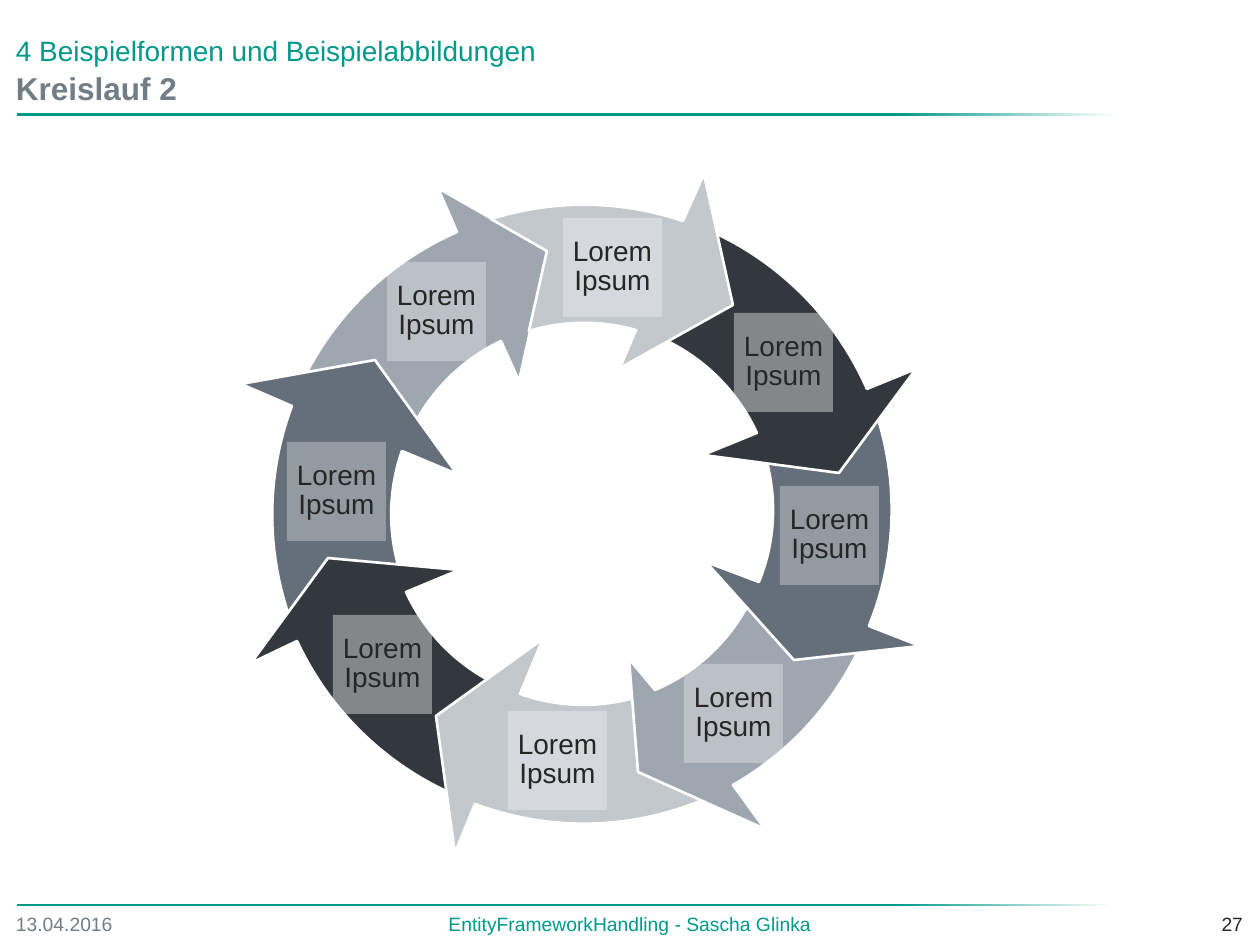
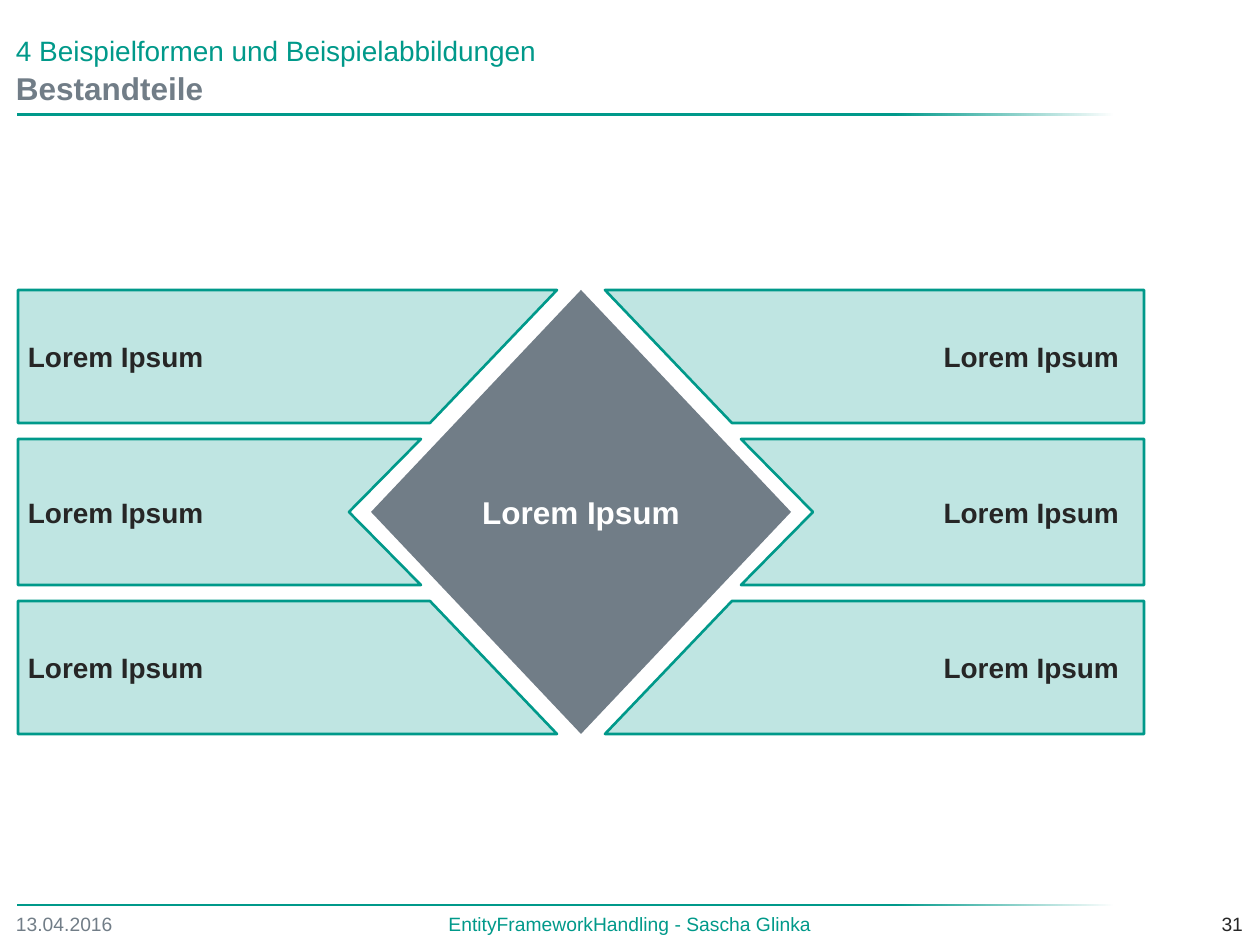
import dataclasses
import math

import lxml.etree
import pptx
import pptx.dml.color
import pptx.enum.shapes
import pptx.enum.text
import pptx.oxml.ns
import pptx.util

ALIGN = pptx.enum.text.PP_ALIGN
ANCHOR = pptx.enum.text.MSO_ANCHOR
SHAPE = pptx.enum.shapes.MSO_SHAPE
EMU_PER_PX = 914400 / 126


@dataclasses.dataclass(frozen=True)
class Theme:
    font: str = "Arial"
    teal: str = "00998A"
    pale_teal: str = "BFE5E2"
    slate: str = "717D87"
    ink: str = "262626"
    white: str = "FFFFFF"
    ring_light: str = "C3C8CD"
    ring_medium: str = "9EA7AF"
    ring_dark: str = "656F79"
    ring_black: str = "32383D"
    footer_size: int = 11
    text_size: int = 16
    heading_size: int = 18
    line_width: float = 1.5


THEME = Theme()
CHAPTER = "4 Beispielformen und Beispielabbildungen"
FOOTER = "EntityFrameworkHandling - Sascha Glinka"
DATE = "13.04.2016"
SAMPLE = "Lorem Ipsum"

RING_CENTER = (583, 514)
ARC_STEPS = 24
# Fill, then corners: outer tail, outer neck, outer barb, tip,
# inner barb, inner neck, inner tail, and a notch if the tail has one.
RING_ARROWS = [
    (THEME.ring_medium, [(302, 382), (457, 232), (438, 188), (548, 251),
                         (519, 381), (501, 341), (410, 433)]),
    (THEME.ring_dark, [(296, 634), (292, 406), (241, 384), (375, 360),
                       (457, 474), (402, 451), (399, 568)]),
    (THEME.ring_black, [(446, 791), (297, 641), (251, 663), (328, 558),
                        (459, 570), (406, 592), (496, 684)]),
    (THEME.ring_light, [(703, 800), (475, 804), (455, 853), (436, 716),
                        (543, 639), (520, 694), (638, 697)]),
    (THEME.ring_medium, [(859, 649), (733, 785), (765, 829), (638, 772),
                         (629, 659), (655, 690), (752, 597)]),
    (THEME.ring_dark, [(868, 391), (869, 626), (920, 646), (794, 660),
                       (706, 562), (759, 582), (765, 455)]),
    (THEME.ring_black, [(717, 234), (867, 389), (916, 369), (839, 473),
                        (703, 455), (757, 433), (667, 341)]),
    (THEME.ring_light, [(491, 219), (683, 221), (704, 174), (733, 305),
                        (620, 368), (636, 330), (529, 331), (547, 251)]),
]
LABEL_SIDE = 99
# Left, top and opacity in percent
RING_LABELS = [
    (563, 218, 30), (734, 313, 40), (780, 486, 30), (684, 664, 30),
    (508, 711, 30), (387, 262, 30), (333, 615, 40), (287, 442, 30),
]

PANEL_MIRROR = (1162, 1024)  # twice the centre of the diamond
TOP_PANEL = [(18, 290), (557, 290), (430, 423), (18, 423)]
MIDDLE_PANEL = [(18, 439), (421, 439), (349, 512), (421, 585), (18, 585)]


def px(length):
    return pptx.util.Emu(round(length * EMU_PER_PX))


def rgb(color):
    return pptx.dml.color.RGBColor.from_string(color)


def paint(shape, fill, line=None):
    shape.shadow.inherit = False
    shape.fill.solid()
    shape.fill.fore_color.rgb = rgb(fill)
    if line:
        shape.line.color.rgb = rgb(line)
        shape.line.width = pptx.util.Pt(THEME.line_width)
    else:
        shape.line.fill.background()


def write(shape, text, size, color, bold=False, align=ALIGN.LEFT,
          anchor=ANCHOR.TOP, margins=(13, 6, 13, 6)):
    """Set one paragraph of text; margins are left, top, right, bottom."""
    frame = shape.text_frame
    frame.word_wrap = True
    frame.auto_size = pptx.enum.text.MSO_AUTO_SIZE.NONE
    frame.vertical_anchor = anchor
    (frame.margin_left, frame.margin_top,
     frame.margin_right, frame.margin_bottom) = map(px, margins)
    frame.text = text
    paragraph = frame.paragraphs[0]
    paragraph.alignment = align
    paragraph.space_before = pptx.util.Pt(0)
    if shape.is_placeholder:
        remove_bullet(paragraph)
    paragraph.font.name = THEME.font
    paragraph.font.size = pptx.util.Pt(size)
    paragraph.font.bold = bold
    paragraph.font.color.rgb = rgb(color)
    return paragraph


def remove_bullet(paragraph):
    properties = paragraph._p.get_or_add_pPr()
    properties.set("marL", "0")
    properties.set("indent", "0")
    lxml.etree.SubElement(properties, pptx.oxml.ns.qn("a:buNone"))


def place(shape, left, top, width, height):
    shape.left, shape.top = px(left), px(top)
    shape.width, shape.height = px(width), px(height)


def add_preset(slide, kind, left, top, width, height):
    return slide.shapes.add_shape(kind, px(left), px(top), px(width), px(height))


def add_outline(slide, points, fill, line):
    corners = [(px(x), px(y)) for x, y in points]
    builder = slide.shapes.build_freeform(*corners[0], scale=1.0)
    builder.add_line_segments(corners[1:], close=True)
    shape = builder.convert_to_shape()
    paint(shape, fill, line)
    return shape


def add_fading_band(slide, top, height):
    band = add_preset(slide, SHAPE.RECTANGLE, 17, top, 1098, height)
    paint(band, THEME.teal)
    band.fill.gradient()
    band.fill.gradient_angle = 0
    stops = [(0.8, THEME.teal), (1.0, THEME.white)]
    for stop, (position, color) in zip(band.fill.gradient_stops, stops):
        stop.position = position
        stop.color.rgb = rgb(color)


def add_footer_text(slide, left, width, text, color, align):
    box = slide.shapes.add_textbox(px(left), px(906), px(width), px(39))
    write(box, text, THEME.footer_size, color, align=align)


def add_framed_slide(presentation, heading, number):
    """Add a slide with the shared title, bands and footer."""
    slide = presentation.slides.add_slide(presentation.slide_layouts[1])
    title, subtitle = slide.placeholders
    place(title, 3, 24, 1094, 49)
    write(title, CHAPTER, THEME.text_size, THEME.teal, anchor=ANCHOR.BOTTOM)
    place(subtitle, 3, 63, 1096, 49)
    write(subtitle, heading, THEME.heading_size, THEME.slate, bold=True)
    add_fading_band(slide, 113, 3)
    add_fading_band(slide, 904, 2)
    add_footer_text(slide, 3, 210, DATE, THEME.slate, ALIGN.LEFT)
    add_footer_text(slide, 247, 766, FOOTER, THEME.teal, ALIGN.CENTER)
    add_footer_text(slide, 1046, 210, str(number), THEME.ink, ALIGN.RIGHT)
    return slide


def arc(start, end):
    """Points from start to end around the ring centre, the short way."""
    center_x, center_y = RING_CENTER
    (angle, radius), (end_angle, end_radius) = [
        (math.atan2(y - center_y, x - center_x),
         math.hypot(x - center_x, y - center_y)) for x, y in (start, end)]
    sweep = (end_angle - angle + math.pi) % math.tau - math.pi
    points = []
    for step in range(ARC_STEPS + 1):
        share = step / ARC_STEPS
        distance = radius + share * (end_radius - radius)
        turn = angle + share * sweep
        points.append((center_x + distance * math.cos(turn),
                       center_y + distance * math.sin(turn)))
    return points


def add_ring_arrow(slide, color, corners):
    outer_tail, outer_neck, *head, inner_neck, inner_tail = corners[:7]
    points = (arc(outer_tail, outer_neck) + head
              + arc(inner_neck, inner_tail) + corners[7:])
    add_outline(slide, points, color, THEME.white)


def add_ring_label(slide, left, top, opacity):
    label = add_preset(slide, SHAPE.RECTANGLE, left, top, LABEL_SIDE, LABEL_SIDE)
    paint(label, THEME.white)
    color = label._element.spPr.find(".//" + pptx.oxml.ns.qn("a:srgbClr"))
    alpha = lxml.etree.SubElement(color, pptx.oxml.ns.qn("a:alpha"))
    alpha.set("val", str(opacity * 1000))
    paragraph = write(label, SAMPLE, THEME.text_size, THEME.ink,
                      align=ALIGN.CENTER, anchor=ANCHOR.MIDDLE,
                      margins=(0, 0, 0, 0))
    paragraph.line_spacing = 0.85


def add_panel(slide, points, align):
    panel = add_outline(slide, points, THEME.pale_teal, THEME.teal)
    write(panel, SAMPLE, THEME.text_size, THEME.ink, bold=True, align=align,
          anchor=ANCHOR.MIDDLE, margins=(10, 5, 25, 5))


def add_center_diamond(slide):
    diamond = add_preset(slide, SHAPE.DIAMOND, 371, 290, 420, 444)
    paint(diamond, THEME.slate)
    write(diamond, SAMPLE, THEME.heading_size, THEME.white, bold=True,
          align=ALIGN.CENTER, anchor=ANCHOR.MIDDLE, margins=(0, 0, 0, 0))


def build_cycle_slide(presentation):
    slide = add_framed_slide(presentation, "Kreislauf 2", 27)
    for color, corners in RING_ARROWS:
        add_ring_arrow(slide, color, corners)
    for left, top, opacity in RING_LABELS:
        add_ring_label(slide, left, top, opacity)


def build_components_slide(presentation):
    slide = add_framed_slide(presentation, "Bestandteile", 31)
    mirror_x, mirror_y = PANEL_MIRROR
    bottom_panel = [(x, mirror_y - y) for x, y in TOP_PANEL]
    for panel in (TOP_PANEL, MIDDLE_PANEL, bottom_panel):
        add_panel(slide, panel, ALIGN.LEFT)
        add_panel(slide, [(mirror_x - x, y) for x, y in panel], ALIGN.RIGHT)
    add_center_diamond(slide)


def main():
    presentation = pptx.Presentation()
    presentation.slide_width = px(1260)
    presentation.slide_height = px(945)
    build_cycle_slide(presentation)
    build_components_slide(presentation)
    presentation.save("out.pptx")


if __name__ == "__main__":
    main()
